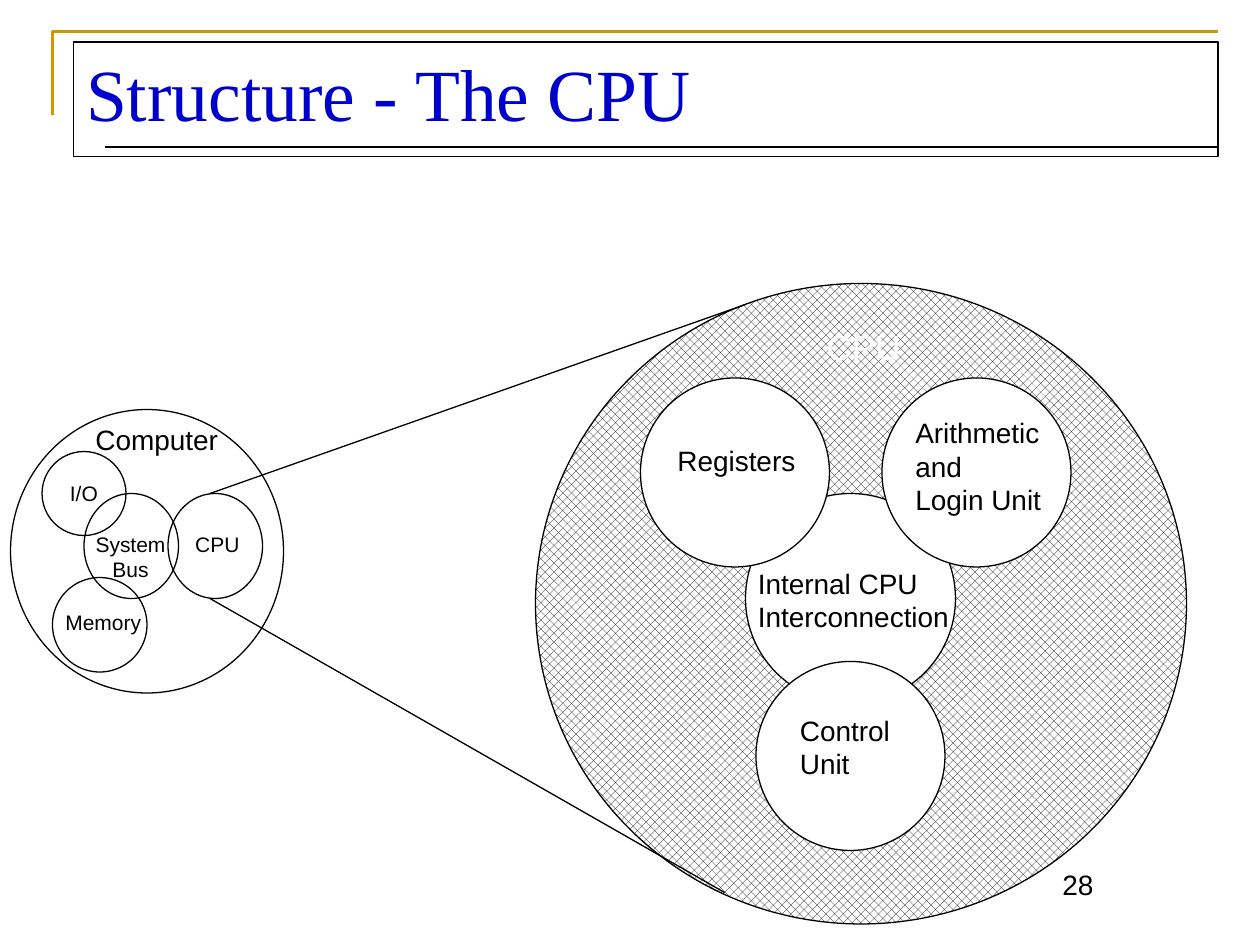
from lxml.etree import SubElement
from pptx import Presentation
from pptx.dml.color import RGBColor
from pptx.enum.dml import MSO_PATTERN
from pptx.enum.shapes import MSO_CONNECTOR, MSO_SHAPE
from pptx.enum.text import MSO_ANCHOR, MSO_AUTO_SIZE, PP_ALIGN
from pptx.oxml.ns import qn
from pptx.util import Pt

COLORS = {"ink": "000000", "paper": "FFFFFF", "title": "0000CC", "gold": "CC9900"}


def rgb(name):
    return RGBColor.from_string(COLORS[name])


def write(tf, text, size=16, color="ink", font="Arial", align=PP_ALIGN.LEFT,
          anchor=MSO_ANCHOR.TOP, wrap=False):
    tf.word_wrap = wrap
    tf.vertical_anchor = anchor
    tf.margin_left = tf.margin_right = Pt(7.2)
    tf.margin_top = tf.margin_bottom = Pt(3.6)
    for i, line in enumerate(text.split("\n")):
        p = tf.paragraphs[0] if i == 0 else tf.add_paragraph()
        p.alignment = align
        r = p.add_run()
        r.text = line
        r.font.size = Pt(size)
        r.font.name = font
        r.font.color.rgb = rgb(color)


def add_label(s, text, left, top, width, height, grow=True, **fmt):
    tb = s.shapes.add_textbox(Pt(left), Pt(top), Pt(width), Pt(height))
    write(tb.text_frame, text, **fmt)
    if grow:
        tb.text_frame.auto_size = MSO_AUTO_SIZE.SHAPE_TO_FIT_TEXT


def set_line(sp, color="ink", width=0.75):
    sp.line.color.rgb = rgb(color)
    sp.line.width = Pt(width)


def add_circle(s, left, top, width, height, fill=None):
    sp = s.shapes.add_shape(MSO_SHAPE.OVAL, Pt(left), Pt(top), Pt(width), Pt(height))
    sp.shadow.inherit = False
    if fill:
        sp.fill.solid()
        sp.fill.fore_color.rgb = rgb(fill)
    else:
        sp.fill.background()
    set_line(sp)
    return sp


def add_line(s, x1, y1, x2, y2):
    c = s.shapes.add_connector(MSO_CONNECTOR.STRAIGHT, Pt(x1), Pt(y1), Pt(x2), Pt(y2))
    set_line(c)
    SubElement(c._element.spPr, qn("a:effectLst"))


def add_header(s, left, top, width, height):
    # Gold corner and rule
    right = left + width
    fb = s.shapes.build_freeform(Pt(left), Pt(top + 48))
    fb.add_line_segments([(Pt(left), Pt(top)), (Pt(right), Pt(top))], close=False)
    corner = fb.convert_to_shape()
    corner.shadow.inherit = False
    corner.fill.background()
    set_line(corner, "gold", 1.5)
    add_line(s, left + 30, top + 66, right, top + 66)

    # Framed title
    title = s.shapes.title
    title.left, title.top = Pt(left + 12), Pt(top + 6)
    title.width, title.height = Pt(width - 12), Pt(height - 6)
    set_line(title)
    write(title.text_frame, "Structure - The CPU", size=42, color="title",
          font="Times New Roman", wrap=True)


def add_cpu(s, left, top, width, height):
    # Hatched CPU disc
    disc = add_circle(s, left, top, width, height)
    disc.fill.patterned()
    disc.fill.pattern = MSO_PATTERN.PERCENT_50
    disc.fill.fore_color.rgb = rgb("ink")
    disc.fill.back_color.rgb = rgb("paper")

    # Units: circle (dx, dy, diameter), label (dx, dy, width, height)
    units = [
        ("Internal CPU\nInterconnection", (120, 120, 120), (120, 158, 126, 46)),
        ("Registers", (60, 54, 108), (74, 88, 84, 26.6)),
        ("Arithmetic\nand\nLogin Unit", (198, 54, 108), (210, 72, 88, 65)),
        ("Control\nUnit", (126, 216, 108), (144, 242, 70, 46)),
    ]
    for _, (dx, dy, size), _ in units:
        add_circle(s, left + dx, top + dy, size, size, "paper")
    for text, _, (dx, dy, w, h) in units:
        add_label(s, text, left + dx, top + dy, w, h)
    add_label(s, "CPU", left + 159, top + 20.2, 57, 31.7, size=20, color="paper",
              align=PP_ALIGN.CENTER, anchor=MSO_ANCHOR.MIDDLE)


def add_computer(s, left, top, width, height):
    add_circle(s, left, top, width, height)
    add_label(s, "Computer", left + 41.5, top + 4, 88, 26.6)

    # Parts: circle and label, each (dx, dy, width, height)
    parts = [
        ("I/O", (18, 24, 48, 48), (24, 37.2, 36, 21.6)),
        ("CPU", (90, 48, 54, 60), (98.4, 66.2, 39.6, 21.6)),
        ("Memory", (24, 96, 54, 54), (23, 110.6, 60, 21.6)),
        ("System\nBus", (42, 48, 54, 60), (38.6, 66.2, 60, 36)),
    ]
    for text, (cx, cy, cw, ch), (dx, dy, w, h) in parts:
        add_circle(s, left + cx, top + cy, cw, ch)
        add_label(s, text, left + dx, top + dy, w, h, size=12,
                  align=PP_ALIGN.CENTER, anchor=MSO_ANCHOR.MIDDLE)


def main():
    prs = Presentation()
    prs.slide_width, prs.slide_height = Pt(720), Pt(540)
    s = prs.slides.add_slide(prs.slide_layouts[5])

    add_header(s, 30, 18, 666, 71.5)
    add_cpu(s, 306, 162, 372, 366)
    add_computer(s, 6, 234, 156, 162)

    # Zoom lines from the small CPU to the large one
    add_line(s, 120, 282, 426, 174)
    add_line(s, 120, 342, 414, 510)

    # Page number
    add_label(s, "28", 600, 492, 48, 36, grow=False, wrap=True)
    prs.save("out.pptx")


if __name__ == "__main__":
    main()
